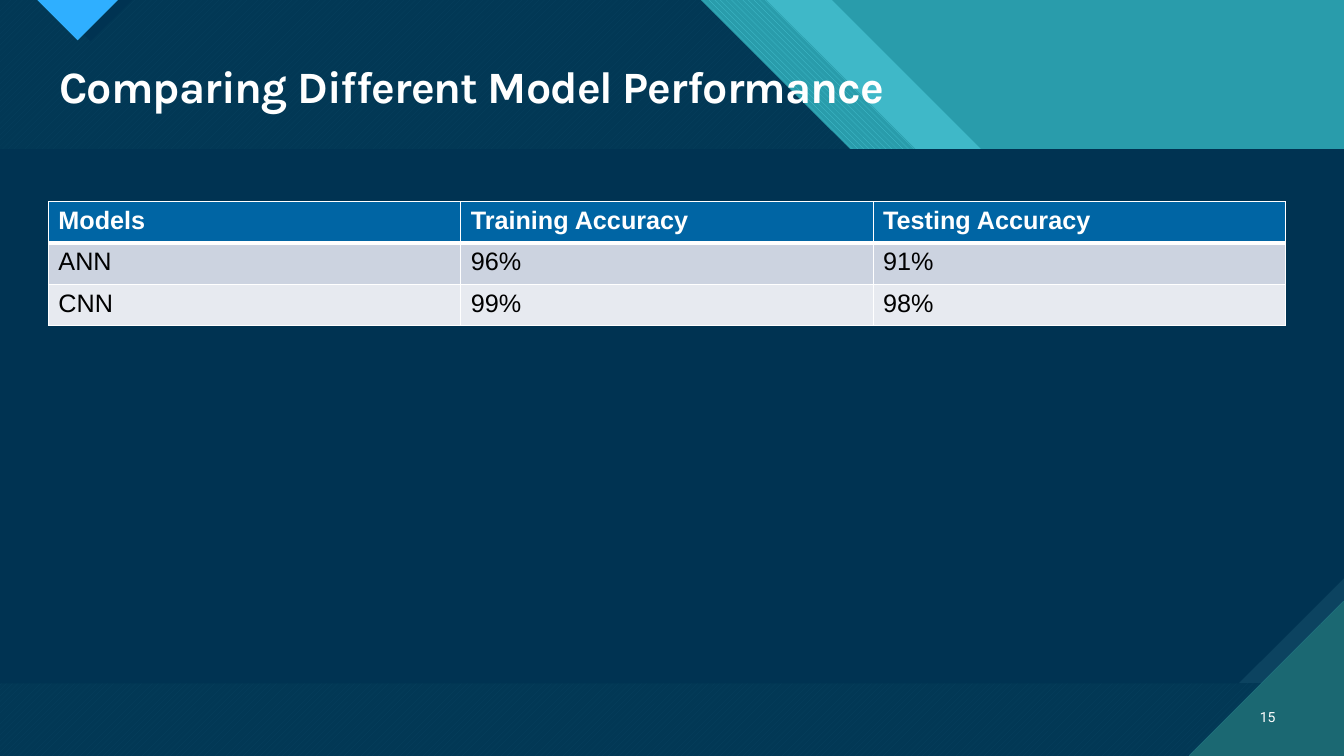
from dataclasses import dataclass

from lxml import etree
from pptx import Presentation
from pptx.dml.color import RGBColor
from pptx.enum.dml import MSO_PATTERN as Pattern
from pptx.enum.shapes import MSO_SHAPE as Shape
from pptx.enum.text import MSO_ANCHOR as Anchor, PP_ALIGN as Align
from pptx.oxml.ns import qn
from pptx.util import Inches, Pt

# Content
TITLE = "Comparing Different Model Performance"
PAGE = "15"
ROWS = [
    ("Models", "Training Accuracy", "Testing Accuracy"),
    ("ANN", "96%", "91%"),
    ("CNN", "99%", "98%"),
]


@dataclass(frozen=True)
class Theme:
    navy: str = "003352"
    slate: str = "0C4360"
    teal: str = "299CAB"
    aqua: str = "47C3D3"
    pine: str = "1B6872"
    sky: str = "2FAFFF"
    header: str = "0065A4"
    odd_row: str = "CCD3E0"
    even_row: str = "E7EAF0"
    white: str = "FFFFFF"
    black: str = "000000"
    title_font: str = "Karla"
    page_font: str = "Roboto"
    table_font: str = "Arial"
    title_size: int = 32
    table_size: int = 18
    page_size: int = 10


T = Theme()
W, H = 13.33, 7.5
rgb = RGBColor.from_string


def paint(sp, color, back=None, pattern=None, alpha=None):
    """Give a shape a solid, translucent or patterned fill without outline."""
    fill = sp.fill
    if pattern is None:
        fill.solid()
        fill.fore_color.rgb = rgb(color)
    else:
        fill.patterned()
        fill.pattern = pattern
        fill.fore_color.rgb, fill.back_color.rgb = rgb(color), rgb(back)
    if alpha is not None:
        clr = sp._element.spPr.find(".//" + qn("a:srgbClr"))
        etree.SubElement(clr, qn("a:alpha"), val=str(alpha * 1000))
    sp.line.fill.background()
    sp.shadow.inherit = False


def polygon(points, color, **fill):
    (x, y), *rest = [(Inches(px), Inches(py)) for px, py in points]
    builder = slide.shapes.build_freeform(x, y)
    builder.add_line_segments(rest)
    paint(builder.convert_to_shape(), color, **fill)


def write(tf, text, *, size, font, color, bold=False, align=Align.LEFT,
          anchor=Anchor.TOP, line=None, spacing=None):
    tf.word_wrap = True
    tf.vertical_anchor = anchor
    p = tf.paragraphs[0]
    p.alignment = align
    if line:
        p.line_spacing = line
    r = p.add_run()
    r.text = text
    r.font.size, r.font.name, r.font.bold = Pt(size), font, bold
    r.font.color.rgb = rgb(color)
    if spacing:
        r._r.get_or_add_rPr().set("spc", str(int(spacing * 100)))


def border(cell, **widths):
    """Set white borders, placed ahead of the cell's fill."""
    props = cell._tc.get_or_add_tcPr()
    for i, side in enumerate("LRTB"):
        ln = etree.Element(qn(f"a:ln{side}"), w=str(Pt(widths.get(side, 1))))
        fill = etree.SubElement(ln, qn("a:solidFill"))
        etree.SubElement(fill, qn("a:srgbClr"), val=T.white)
        props.insert(i, ln)


def slanted(top_x, step_x, edge_y):
    """Outline of a band whose right side runs down at 45 degrees."""
    slope = 2.97
    return [(0, 0), (top_x, 0), (top_x + slope, slope), (step_x, slope),
            (W, edge_y), (W, H), (0, H)]


prs = Presentation()
prs.slide_width, prs.slide_height = Inches(W), Inches(H)
slide = prs.slides.add_slide(prs.slide_layouts[5])
slide.background.fill.solid()
slide.background.fill.fore_color.rgb = rgb(T.aqua)

# Layered diagonal backdrop
base = slide.shapes.add_shape(Shape.RECTANGLE, 0, 0, Inches(W), Inches(H))
paint(base, T.teal)
inner = slanted(6.95, 11.18, 5.12)
polygon(slanted(8.25, 12.34, 3.96), T.aqua, alpha=74)
polygon(slanted(7.6, 11.84, 4.47), T.aqua, back=T.teal, pattern=Pattern.WIDE_DOWNWARD_DIAGONAL)
polygon(inner, T.aqua, back=T.pine, pattern=Pattern.WIDE_UPWARD_DIAGONAL)
polygon(inner, T.navy, alpha=90)

# Top pointer and its shade
polygon([(0.48, 0), (1.31, 0), (0.9, 0.41)], T.navy)
polygon([(0.37, 0), (1.17, 0), (0.77, 0.4)], T.sky, back=T.pine, pattern=Pattern.DARK_HORIZONTAL)

# Body panel: backing, then the panel with a cut lower right corner
for cut, fill in [
    (0, dict(color=T.slate, back=T.pine, pattern=Pattern.DARK_VERTICAL)),
    (0.197, dict(color=T.navy)),
]:
    panel = slide.shapes.add_shape(Shape.SNIP_1_RECTANGLE, 0, Inches(1.48), Inches(W), Inches(5.3))
    panel.adjustments[0] = cut
    panel._element.spPr.get_or_add_xfrm().set("flipV", "1")
    paint(panel, **fill)

# Lower right corner
corner = 1.54
polygon([(W - corner, H), (W, H), (W, H - corner)], T.pine, back=T.aqua,
        pattern=Pattern.DARK_HORIZONTAL)

# Title, raised above the backdrop
title = slide.shapes.title
slide.shapes._spTree.append(title._element)
title.left, title.top, title.width, title.height = map(Inches, (0.49, 0.59, 12.26, 0.59))
write(title.text_frame, TITLE, size=T.title_size, font=T.title_font, color=T.white,
      bold=True, anchor=Anchor.MIDDLE, line=0.9, spacing=-0.7)

# Page number
page = slide.shapes.add_textbox(*map(Inches, (12.31, 6.91, 0.44, 0.4)))
write(page.text_frame, PAGE, size=T.page_size, font=T.page_font, color=T.white,
      align=Align.RIGHT, anchor=Anchor.MIDDLE)

# Accuracy table
col_w, row_h = 4.09, 0.41
n_rows, n_cols = len(ROWS), len(ROWS[0])
table = slide.shapes.add_table(n_rows, n_cols, Inches(0.48), Inches(2),
                               Inches(col_w * n_cols), Inches(row_h * n_rows)).table
for col in table.columns:
    col.width = Inches(col_w)
for i, values in enumerate(ROWS):
    table.rows[i].height = Inches(row_h)
    head = i == 0
    row_fill = T.header if head else T.odd_row if i % 2 else T.even_row
    for j, value in enumerate(values):
        cell = table.cell(i, j)
        cell.fill.solid()
        cell.fill.fore_color.rgb = rgb(row_fill)
        border(cell, B=3 if head else 1, T=3 if i == 1 else 1)
        write(cell.text_frame, value, size=T.table_size, font=T.table_font,
              color=T.white if head else T.black, bold=head)

prs.save("out.pptx")
